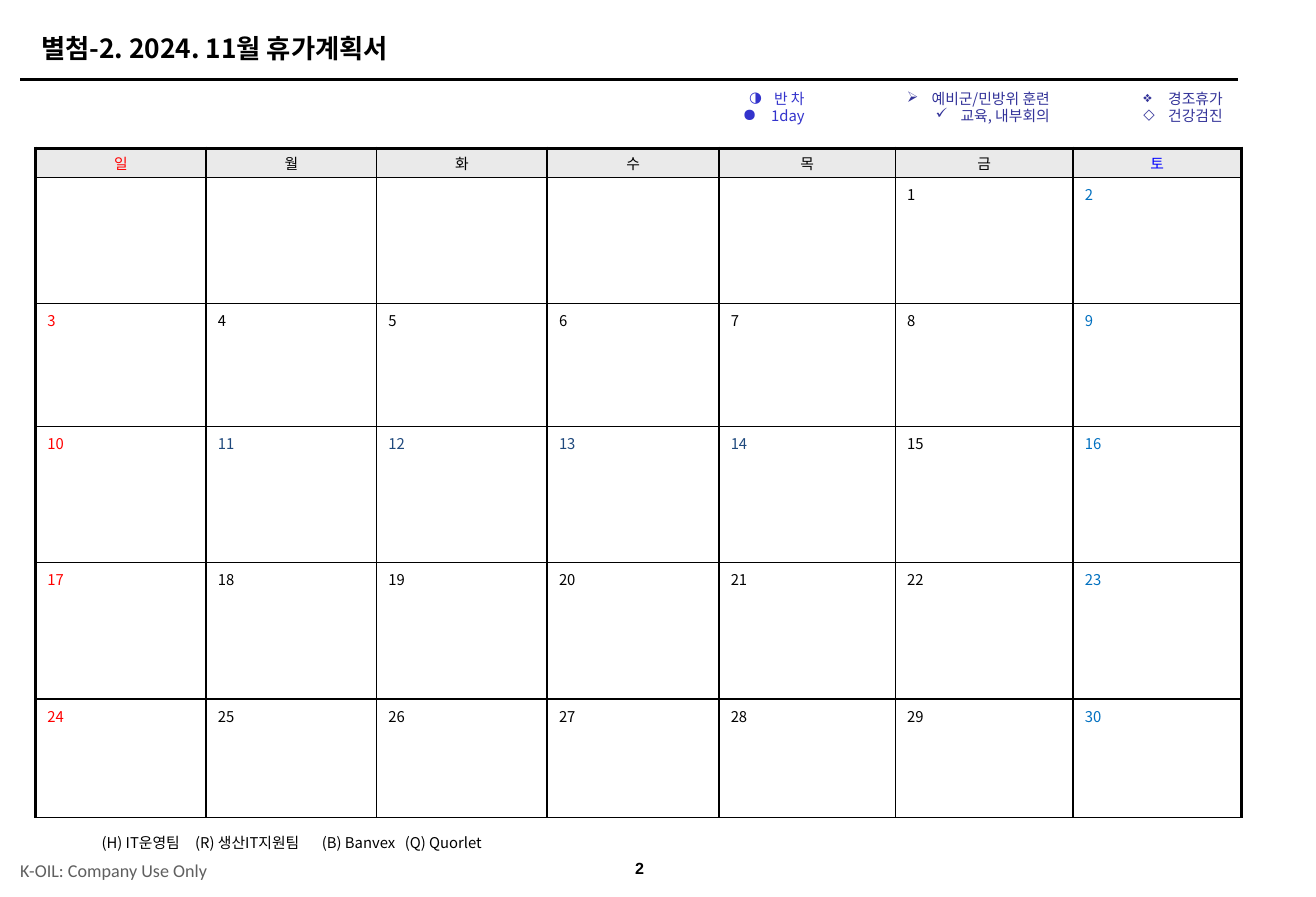
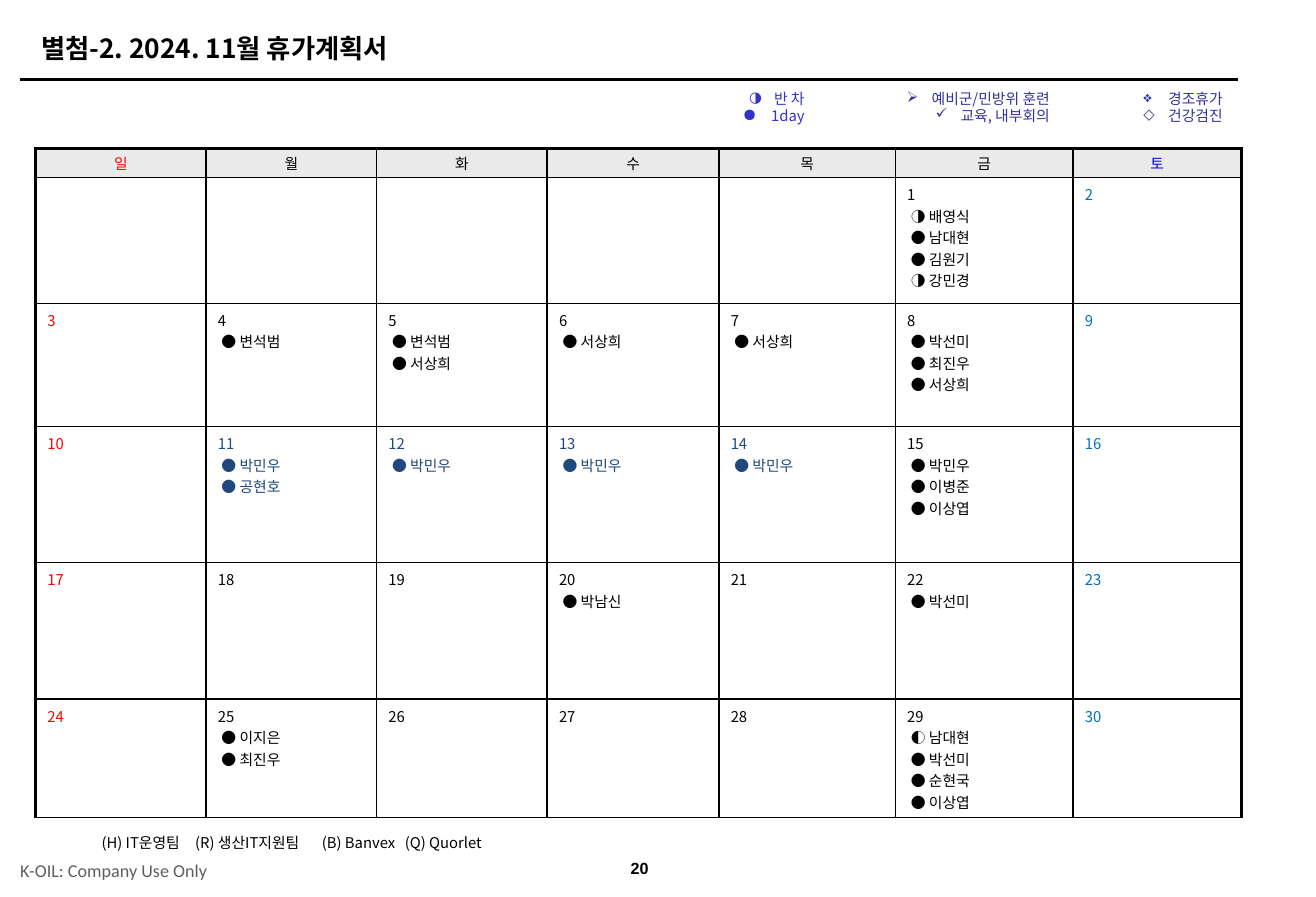
import pptx
import pptx.util
import pptx.dml.color
import pptx.enum.shapes
import pptx.enum.text
import pptx.oxml.ns
from lxml import etree

Inches, Pt = pptx.util.Inches, pptx.util.Pt
ALIGN = pptx.enum.text.PP_ALIGN
MIDDLE = pptx.enum.text.MSO_ANCHOR.MIDDLE
KOREAN = "Noto Sans CJK KR"
LINE_SPACING = 0.95
COLORS = {
    "ink": "000000", "sunday": "FF0000", "saturday": "0070C0",
    "saturday_head": "0000FF", "special": "1F497D", "head_fill": "EAEAEA",
    "leave": "3333CC", "event": "333399", "footer": "5F5F5F",
}

TITLE = "별첨-2. 2024. 11월 휴가계획서"
FOOTER = "K-OIL: Company Use Only"
TEAMS = ["(H) IT운영팀", "(R) 생산IT지원팀", "(B) Banvex", "(Q) Quorlet"]
TEAM_TABS = [0.79, 1.86, 2.56]

# (left, top, width), colour, entries of (bullet, label, bullet size %, indent)
LEGENDS = [
    ((6.17, 0.72, 0.72), "leave",
     [("◑", "반 차", 100, 0.21), ("●", "1day", 120, 0.24)]),
    ((7.38, 0.72, 1.58), "event",
     [("➢", "예비군/민방위 훈련", 100, 0.21), ("✓", "교육, 내부회의", 100, 0.21)]),
    ((8.59, 0.72, 1.83), "event",
     [("❖", "경조휴가", 100, 0.21), ("◇", "건강검진", 100, 0.21)]),
]

WEEKDAYS = ["일", "월", "화", "수", "목", "금", "토"]
FIRST_WEEKDAY, DAYS_IN_MONTH = 5, 30
SPECIAL_DAYS = range(11, 15)
COLUMN_WIDTHS = [1.44, 1.44, 1.44, 1.45, 1.49, 1.5, 1.42]
ROW_HEIGHTS = [0.25, 1.06, 1.04, 1.15, 1.15, 1]

LEAVES = {
    1: ["◑ 배영식", "● 남대현", "● 김원기", "◑ 강민경"],
    4: ["● 변석범"],
    5: ["● 변석범", "● 서상희"],
    6: ["● 서상희"],
    7: ["● 서상희"],
    8: ["● 박선미", "● 최진우", "● 서상희"],
    11: ["● 박민우", "● 공현호"],
    12: ["● 박민우"],
    13: ["● 박민우"],
    14: ["● 박민우"],
    15: ["● 박민우", "● 이병준", "● 이상엽"],
    20: ["● 박남신"],
    22: ["● 박선미"],
    25: ["● 이지은", "● 최진우"],
    29: ["◐ 남대현", "● 박선미", "● 순현국", "● 이상엽"],
}
PAGES = [("2", {}), ("20", LEAVES)]


def rgb(color):
    return pptx.dml.color.RGBColor.from_string(COLORS[color])


def sub(parent, tag, **attributes):
    """Append a DrawingML element."""
    return etree.SubElement(parent, pptx.oxml.ns.qn("a:" + tag), attributes)


def add_run(paragraph, text, color="ink", size=9, font=KOREAN, bold=False):
    run = paragraph.add_run()
    run.text = text
    run.font.size, run.font.bold, run.font.name = Pt(size), bold, font
    run.font.color.rgb = rgb(color)
    sub(run.font._element, "ea", typeface=font)


def set_indent(paragraph, left, first=0):
    properties = paragraph._p.get_or_add_pPr()
    properties.set("marL", str(Inches(left)))
    properties.set("indent", str(Inches(first)))
    return properties


def next_paragraph(frame, index):
    return frame.add_paragraph() if index else frame.paragraphs[0]


def add_textbox(slide, left, top, width, height, wrap=True):
    frame = slide.shapes.add_textbox(
        Inches(left), Inches(top), Inches(width), Inches(height)).text_frame
    frame.word_wrap = wrap
    return frame


def add_title(slide):
    title = slide.shapes.title
    title.left, title.top = Inches(0.25), Inches(0.22)
    title.width, title.height = Inches(9.9), Inches(0.37)
    frame = title.text_frame
    frame.auto_size = pptx.enum.text.MSO_AUTO_SIZE.NONE
    frame.vertical_anchor = MIDDLE
    frame.paragraphs[0].alignment = ALIGN.LEFT
    add_run(frame.paragraphs[0], TITLE, size=16, bold=True)

    rule = slide.shapes.add_connector(
        pptx.enum.shapes.MSO_CONNECTOR.STRAIGHT,
        Inches(0.17), Inches(0.67), Inches(10.45), Inches(0.67))
    rule.line.color.rgb = rgb("ink")
    rule.line.width = Pt(1.5)
    sub(rule._element.spPr, "effectLst")


def add_footer(slide, page):
    number = add_textbox(slide, 5.13, 7.17, 0.54, 0.31, wrap=False)
    notice = add_textbox(slide, 0, 7.19, 1.92, 0.31)
    notice.margin_left = notice.margin_right = 0
    for frame in (number, notice):
        frame.vertical_anchor = MIDDLE
        frame.paragraphs[0].alignment = ALIGN.CENTER
    add_run(number.paragraphs[0], page, size=9.8, font="Arial", bold=True)
    add_run(notice.paragraphs[0], FOOTER, "footer", 11, "Calibri")

    teams = add_textbox(slide, 0.76, 7, 3.6, 0.24)
    teams.vertical_anchor = MIDDLE
    paragraph = teams.paragraphs[0]
    tabs = sub(paragraph._p.get_or_add_pPr(), "tabLst")
    for position in TEAM_TABS:
        sub(tabs, "tab", pos=str(Inches(position)), algn="l")
    paragraph.line_spacing = LINE_SPACING
    add_run(paragraph, "\t".join(TEAMS))


def add_legends(slide):
    for (left, top, width), color, entries in LEGENDS:
        frame = add_textbox(slide, left, top, width, 0.4)
        for index, (bullet, label, percent, indent) in enumerate(entries):
            paragraph = next_paragraph(frame, index)
            properties = set_indent(paragraph, indent, -indent)
            sub(sub(properties, "buClr"), "srgbClr", val=COLORS[color])
            sub(properties, "buSzPct", val=str(percent * 1000))
            sub(properties, "buChar", char=bullet)
            paragraph.alignment = ALIGN.RIGHT
            paragraph.line_spacing = LINE_SPACING
            add_run(paragraph, label, color)


def style_cell(cell, row, column):
    """Draw the grid, heavier along the left, top and right edges."""
    heavy = {"lnL": column == 0, "lnR": column == len(COLUMN_WIDTHS) - 1,
             "lnT": row == 0, "lnB": False}
    properties = cell._tc.get_or_add_tcPr()
    for side, is_heavy in heavy.items():
        line = sub(properties, side, w=str(Pt(2 if is_heavy else 1)))
        sub(sub(line, "solidFill"), "srgbClr", val=COLORS["ink"])
    cell.margin_bottom = Inches(0.03)
    if row == 0:
        cell.margin_top = Inches(0.03)
        cell.vertical_anchor = MIDDLE
        cell.fill.solid()
        cell.fill.fore_color.rgb = rgb("head_fill")
    else:
        cell.fill.background()


def day_color(day, column):
    if day in SPECIAL_DAYS:
        return "special"
    return {0: "sunday", 6: "saturday"}.get(column, "ink")


def add_calendar(slide, leaves):
    table = slide.shapes.add_table(
        len(ROW_HEIGHTS), len(COLUMN_WIDTHS), Inches(0.3), Inches(1.25),
        Inches(sum(COLUMN_WIDTHS)), Inches(sum(ROW_HEIGHTS))).table
    table.first_row = table.horz_banding = False
    for column, width in zip(table.columns, COLUMN_WIDTHS):
        column.width = Inches(width)
    for row, height in zip(table.rows, ROW_HEIGHTS):
        row.height = Inches(height)
    for row in range(len(ROW_HEIGHTS)):
        for column in range(len(COLUMN_WIDTHS)):
            style_cell(table.cell(row, column), row, column)

    head_colors = {0: "sunday", 6: "saturday_head"}
    for column, weekday in enumerate(WEEKDAYS):
        paragraph = table.cell(0, column).text_frame.paragraphs[0]
        paragraph.alignment = ALIGN.CENTER
        add_run(paragraph, weekday, head_colors.get(column, "ink"))

    for day in range(1, DAYS_IN_MONTH + 1):
        week, column = divmod(FIRST_WEEKDAY + day - 1, len(WEEKDAYS))
        frame = table.cell(week + 1, column).text_frame
        for index, text in enumerate([str(day)] + leaves.get(day, [])):
            paragraph = next_paragraph(frame, index)
            if index:
                set_indent(paragraph, 0.03)
            add_run(paragraph, text, day_color(day, column))


def main():
    deck = pptx.Presentation()
    deck.slide_width, deck.slide_height = Inches(11.11), Inches(7.57)
    title_only = deck.slide_layouts[5]
    for page, leaves in PAGES:
        slide = deck.slides.add_slide(title_only)
        add_title(slide)
        add_legends(slide)
        add_calendar(slide, leaves)
        add_footer(slide, page)
    deck.save("out.pptx")


if __name__ == "__main__":
    main()
